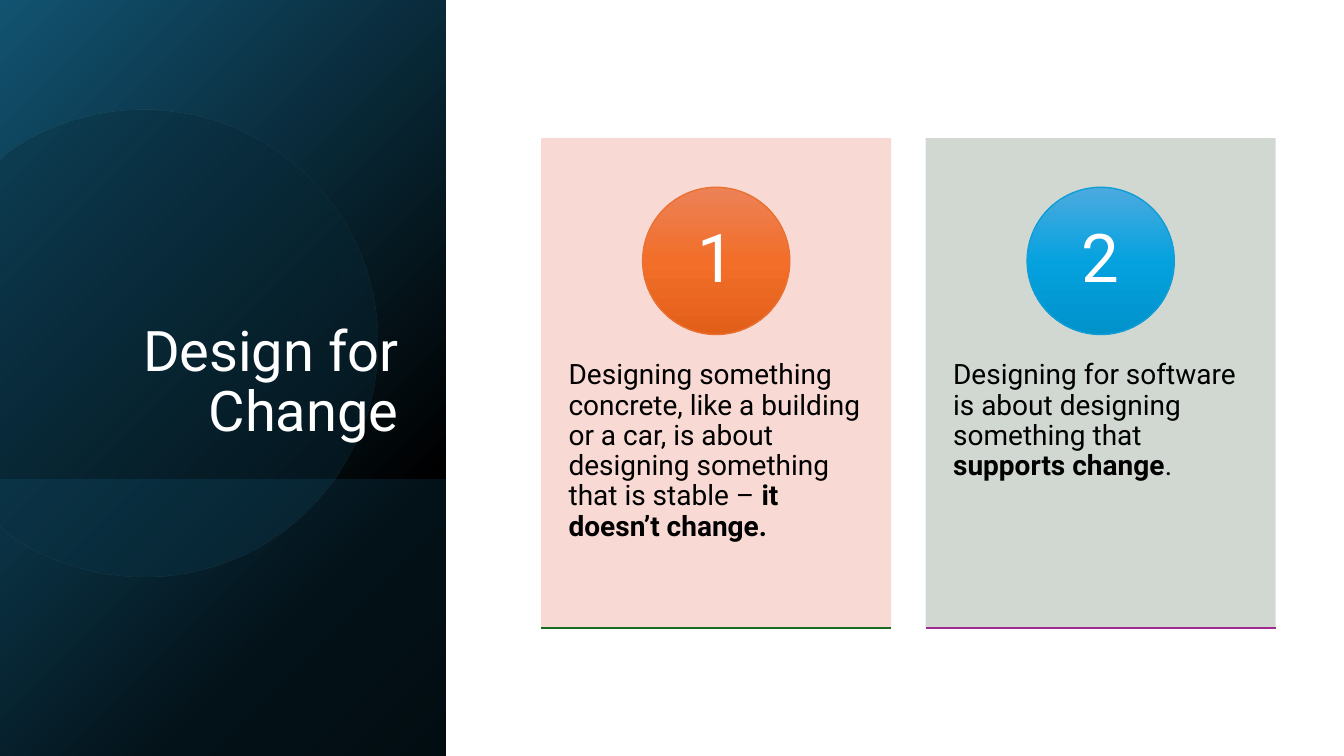
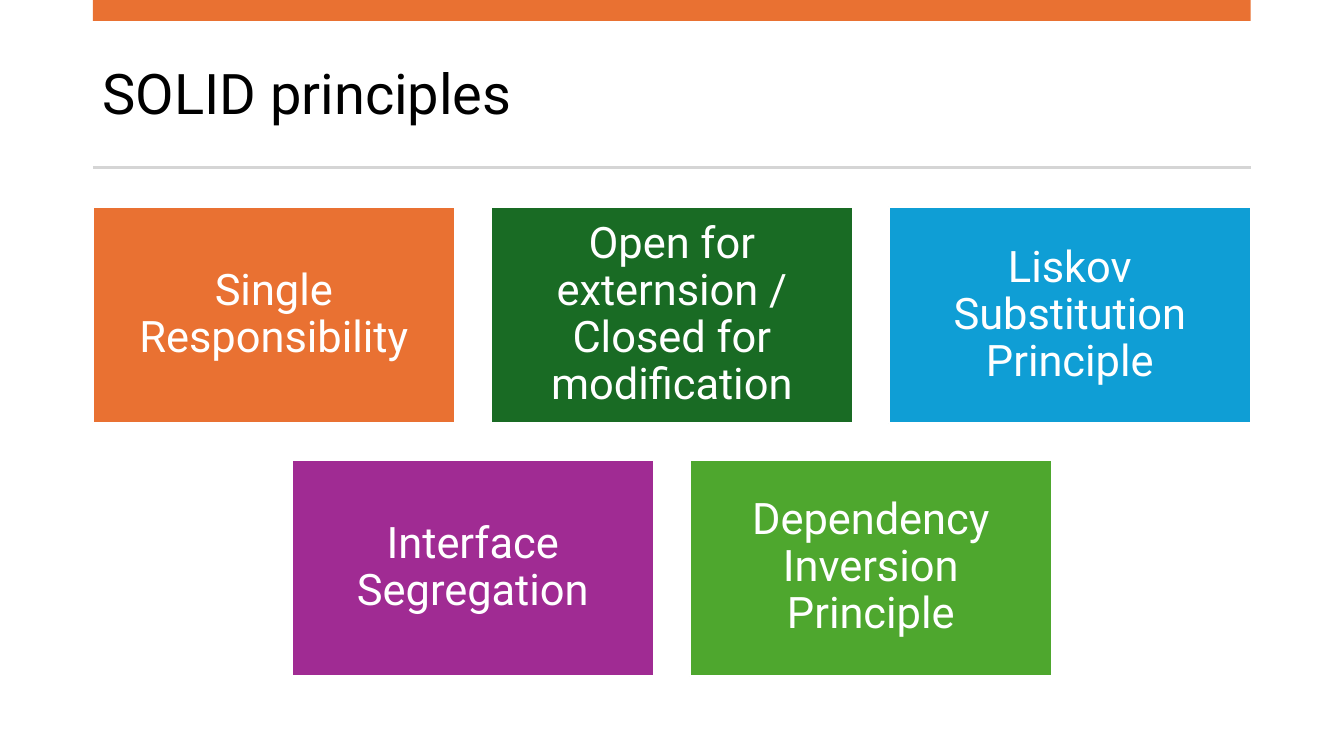
import dataclasses
import math

import pptx
import pptx.dml.color
import pptx.enum.shapes
import pptx.enum.text
import pptx.oxml
import pptx.oxml.ns
import pptx.util
from pptx.util import Cm

SHAPE = pptx.enum.shapes.MSO_SHAPE
ALIGN = pptx.enum.text.PP_ALIGN
ANCHOR = pptx.enum.text.MSO_ANCHOR


@dataclasses.dataclass(frozen=True)
class Theme:
    font: str = "Roboto"
    title_size: int = 40
    number_size: int = 48
    tile_size: int = 31
    body_size: int = 20
    white: str = "FFFFFF"
    black: str = "000000"
    rule: str = "D5D5D5"
    teal: str = "156082"
    panel: str = "125371"
    orange: str = "E97132"
    green: str = "196B24"
    blue: str = "0F9ED5"
    purple: str = "A02B93"
    lime: str = "4EA72E"
    rose: str = "F8D9D3"
    sage: str = "D1D8D2"
    orange_shades: tuple = ("ED8257", "F26E29", "E25F1A")
    blue_shades: tuple = ("4CAADF", "05A2DF", "0092CB")


class Deck:
    """Hold the theme and the current slide, and draw styled elements on it."""

    def __init__(self, theme):
        self.t = theme
        self.prs = pptx.Presentation()
        self.prs.slide_width = Cm(33.87)
        self.prs.slide_height = Cm(19.05)
        self.s = None

    def slide(self):
        self.s = self.prs.slides.add_slide(self.prs.slide_layouts[6])

    def rgb(self, color):
        return pptx.dml.color.RGBColor.from_string(color)

    def paint(self, sp, fill, line=None, width=1, angle=45):
        sp.shadow.inherit = False
        if isinstance(fill, str):
            sp.fill.solid()
            sp.fill.fore_color.rgb = self.rgb(fill)
        else:
            self.gradient(sp, fill, angle)
        if line:
            sp.line.color.rgb = self.rgb(line)
            sp.line.width = pptx.util.Pt(width)
        else:
            sp.line.fill.background()
        return sp

    def gradient(self, sp, stops, angle):
        sp.fill.gradient()
        old = sp._element.spPr.find(pptx.oxml.ns.qn("a:gradFill"))
        gs = "".join(
            f'<a:gs pos="{pos * 1000}"><a:srgbClr val="{color}">'
            f'<a:alpha val="{alpha * 1000}"/></a:srgbClr></a:gs>'
            for pos, color, alpha in stops
        )
        new = pptx.oxml.parse_xml(
            f'<a:gradFill {pptx.oxml.ns.nsdecls("a")} rotWithShape="1">'
            f'<a:gsLst>{gs}</a:gsLst>'
            f'<a:lin ang="{angle * 60000}" scaled="0"/></a:gradFill>'
        )
        old.getparent().replace(old, new)

    def shape(self, kind, x, y, w, h, fill, **style):
        sp = self.s.shapes.add_shape(kind, Cm(x), Cm(y), Cm(w), Cm(h))
        return self.paint(sp, fill, **style)

    def clipped_circle(self, cx, cy, radius, fill):
        points = [
            (Cm(max(0, cx + radius * math.cos(a))), Cm(cy + radius * math.sin(a)))
            for a in (math.radians(d) for d in range(0, 360, 3))
        ]
        fb = self.s.shapes.build_freeform(*points[0])
        fb.add_line_segments(points[1:], close=True)
        return self.paint(fb.convert_to_shape(), fill)

    def line(self, x, y, w, color, width):
        c = self.s.shapes.add_connector(
            pptx.enum.shapes.MSO_CONNECTOR.STRAIGHT, Cm(x), Cm(y), Cm(x + w), Cm(y)
        )
        c.line.color.rgb = self.rgb(color)
        c.line.width = pptx.util.Pt(width)
        c._element.spPr.append(
            pptx.oxml.parse_xml(f'<a:effectLst {pptx.oxml.ns.nsdecls("a")}/>')
        )

    def put_text(self, sp, parts, size, color, align, anchor, insets):
        tf = sp.text_frame
        tf.word_wrap = True
        tf.vertical_anchor = anchor
        tf.margin_left, tf.margin_top, tf.margin_right, tf.margin_bottom = map(Cm, insets)
        p = tf.paragraphs[0]
        p.alignment = align
        p.line_spacing = 0.9
        for text, bold in parts:
            r = p.add_run()
            r.text = text
            r.font.name = self.t.font
            r.font.size = pptx.util.Pt(size)
            r.font.bold = bold
            r.font.color.rgb = self.rgb(color)

    def title(self, text, x, y, w, h, color, align=ALIGN.LEFT, anchor=ANCHOR.MIDDLE):
        sp = self.s.shapes.add_textbox(Cm(x), Cm(y), Cm(w), Cm(h))
        self.put_text(sp, [(text, False)], self.t.title_size, color, align, anchor,
                      (0.25, 0.13, 0.25, 0.13))

    def side_panel(self, w):
        t = self.t
        self.shape(SHAPE.RECTANGLE, 0, 0, w, 19.05,
                   [(0, t.panel, 100), (76, t.black, 100), (100, t.black, 100)])
        self.shape(SHAPE.RECTANGLE, 0, 12.09, w, 6.96,
                   [(0, t.teal, 29), (100, t.teal, 14)])
        self.clipped_circle(3.63, 8.64, 5.88, [(0, t.black, 14), (100, t.teal, 22)])

    def card(self, number, parts, x, y, w, h, fill, accent, shades, edge):
        dia = 3.71
        sp = self.shape(SHAPE.RECTANGLE, x, y, w, h, fill)
        self.put_text(sp, parts, self.t.body_size, self.t.black, ALIGN.LEFT, ANCHOR.TOP,
                      (0.69, 5.61, 0.69, 0.91))
        stops = [(50 * i, shade, 100) for i, shade in enumerate(shades)]
        sp = self.shape(SHAPE.OVAL, x + (w - dia) / 2, y + 1.24, dia, dia, stops,
                        line=accent, angle=90)
        self.put_text(sp, [(number, False)], self.t.number_size, self.t.white,
                      ALIGN.CENTER, ANCHOR.MIDDLE, (0, 0, 0, 0))
        self.line(x, y + h, w, edge, 1)

    def tile(self, text, x, y, w, h, fill):
        sp = self.shape(SHAPE.RECTANGLE, x, y, w, h, fill, line=self.t.white, width=1.5)
        self.put_text(sp, [(text, False)], self.t.tile_size, self.t.white,
                      ALIGN.CENTER, ANCHOR.MIDDLE, (0.33,) * 4)


def design_for_change(d):
    t = d.t
    d.slide()
    d.side_panel(11.23)
    d.title("Design for Change", 1.63, 4.67, 8.66, 6.65, t.white, ALIGN.RIGHT, ANCHOR.BOTTOM)
    cards = [
        ([("Designing something concrete, like a building or a car, is about "
           "designing something that is stable – ", False), ("it doesn’t change.", True)],
         t.rose, t.orange, t.orange_shades, t.green),
        ([("Designing for software is about designing something that ", False),
          ("supports change", True), (".", False)],
         t.sage, t.blue, t.blue_shades, t.purple),
    ]
    w, gap = 8.82, 0.87
    for i, (parts, *colors) in enumerate(cards):
        d.card(str(i + 1), parts, 13.64 + i * (w + gap), 3.48, w, 12.34, *colors)


def solid_principles(d):
    t = d.t
    left, width = 2.34, 29.18
    d.slide()
    d.title("SOLID principles", left, 0.94, width, 3, t.black)
    d.shape(SHAPE.RECTANGLE, left, 0, width, 0.53, t.orange)
    d.line(left, 4.22, width, t.rule, 1.5)
    rows = [
        [("Single Responsibility", t.orange),
         ("Open for externsion / Closed for modification", t.green),
         ("Liskov Substitution Principle", t.blue)],
        [("Interface Segregation", t.purple),
         ("Dependency Inversion Principle", t.lime)],
    ]
    w, h, gap = 9.12, 5.46, 0.91
    for i, row in enumerate(rows):
        start = left + (width - len(row) * (w + gap) + gap) / 2
        for j, (text, fill) in enumerate(row):
            d.tile(text, start + j * (w + gap), 5.21 + i * (h + gap), w, h, fill)


def main():
    d = Deck(Theme())
    design_for_change(d)
    solid_principles(d)
    d.prs.save("out.pptx")


if __name__ == "__main__":
    main()
